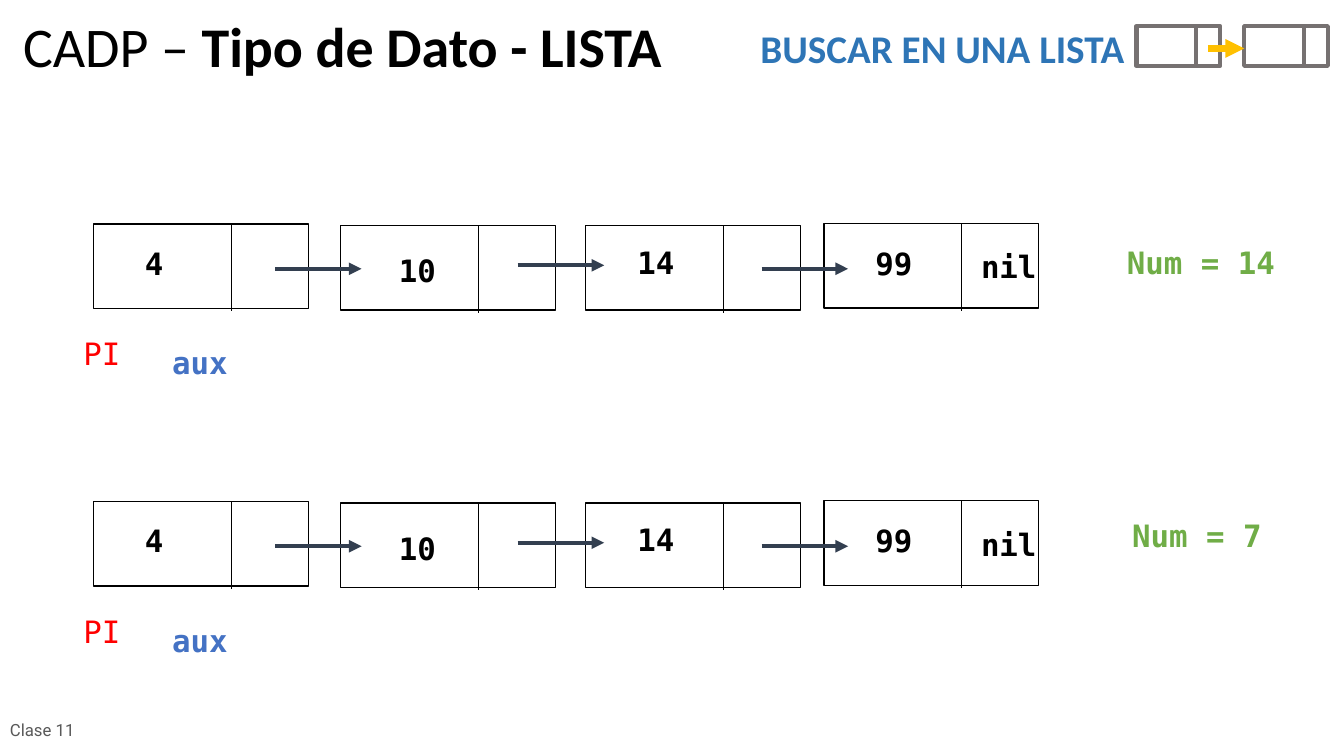
from dataclasses import dataclass

from lxml import etree
from pptx import Presentation
from pptx.dml.color import RGBColor
from pptx.enum import shapes, text
from pptx.oxml import ns
from pptx.util import Pt


@dataclass(frozen=True)
class Theme:
    """Colours, fonts and type sizes of the slide."""
    ink: str = "000000"
    heading: str = "2E75B6"
    icon: str = "767171"
    icon_arrow: str = "FFC000"
    arrow: str = "333F50"
    first: str = "FF0000"
    aux: str = "4472C4"
    target: str = "70AD47"
    footer: str = "595959"
    sans: str = "Calibri"
    mono: str = "DejaVu Sans Mono"
    footer_font: str = "Roboto"
    title_size: int = 40
    heading_size: int = 28
    code_size: int = 22
    footer_size: int = 12


THEME = Theme()
NODE_WIDTH, NODE_HEIGHT = 153.4, 60.5
NODES = [
    ("4", 0, 0, 29.5, 11),
    ("10", 176.5, 1, 34.5, 15.5),
    ("14", 351.5, 1, 30, 9.5),
    ("99", 522, -0.5, 29.5, 11.5),
]
LINKS = [(129.6, 32), (303, 29.5), (477.3, 32)]


def add_text(canvas, box, words, size, color, font=THEME.mono, bold=False, wrap=True):
    """Add a text box and return its paragraph."""
    label = canvas.add_textbox(*map(Pt, box))
    label.text_frame.word_wrap = wrap
    para = label.text_frame.paragraphs[0]
    para.text = words
    para.font.size = Pt(size)
    para.font.name = font
    para.font.bold = bold
    para.font.color.rgb = RGBColor.from_string(color)
    return para


def add_code(canvas, left, top, width, words, color=THEME.ink, bold=True, wrap=True):
    """Add a one-line label in the code font."""
    box = (left, top, width, 34)
    return add_text(canvas, box, words, THEME.code_size, color, bold=bold, wrap=wrap)


def add_line(canvas, left, top, width, height, color, weight, arrow=False):
    """Add a straight line, with an arrowhead if asked."""
    line = canvas.add_connector(
        shapes.MSO_CONNECTOR.STRAIGHT,
        Pt(left), Pt(top), Pt(left + width), Pt(top + height))
    line.line.color.rgb = RGBColor.from_string(color)
    line.line.width = Pt(weight)
    if arrow:
        etree.SubElement(line.line._get_or_add_ln(), ns.qn("a:tailEnd"), type="triangle")
    etree.SubElement(line._element.spPr, ns.qn("a:effectLst"))


def add_cell(canvas, box, split, drop, color, weight, split_weight):
    """Add a list node: a rectangle with a divider before its pointer field."""
    left, top, width, height = box
    cell = canvas.add_shape(shapes.MSO_SHAPE.RECTANGLE, *map(Pt, box))
    cell.shadow.inherit = False
    cell.fill.background()
    cell.line.color.rgb = RGBColor.from_string(color)
    cell.line.width = Pt(weight)
    add_line(canvas, left + split, top, 0, height + drop, color, split_weight)


def add_header(page, left, top):
    """Place the title and the section heading."""
    title = add_text(page.shapes, (left + 9.4, top + 10, 668, 55), "CADP – ",
                     THEME.title_size, THEME.ink, THEME.sans)
    title.line_spacing = 0.9
    span = title.add_run()
    span.text = "Tipo de Dato - LISTA"
    span.font.bold = True
    heading = add_text(page.shapes, (left + 536.4, top + 13.7, 351.4, 41),
                       "BUSCAR EN UNA LISTA", THEME.heading_size,
                       THEME.heading, THEME.sans, bold=True)
    heading.alignment = text.PP_ALIGN.JUSTIFY


def add_icon(page, left, top):
    """Place the small two-node list icon."""
    icon = page.shapes.add_group_shape().shapes
    for offset in (0, 77):
        add_cell(icon, (left + offset, top, 59.8, 28.4), 42.5, 0, THEME.icon, 3, 3)
    add_line(icon, left + 51, top + 15.9, 26, 0, THEME.icon_arrow, 4.5, arrow=True)


def add_list(page, left, top):
    """Place one linked list with its pointers."""
    for value, dx, dy, text_dx, text_dy in NODES:
        node = page.shapes.add_group_shape().shapes
        x, y = left + dx, top + dy
        add_cell(node, (x, y, NODE_WIDTH, NODE_HEIGHT), 98.4, 2, THEME.ink, 1, 0.5)
        add_code(node, x + text_dx, y + text_dy, 14.2 + 13.2 * len(value), value, wrap=False)
    add_code(page.shapes, left + 627, top + 13.7, 54, "nil", wrap=False)
    for dx, dy in LINKS:
        add_line(page.shapes, left + dx, top + dy, 61.8, 0, THEME.arrow, 3, arrow=True)
    add_code(page.shapes, left - 14.4, top + 75.8, 67.7, "PI", THEME.first, bold=False)
    add_code(page.shapes, left + 49, top + 82, 67.7, "aux", THEME.aux)


def add_target(page, left, top, number):
    """Place the number being searched for."""
    para = add_code(page.shapes, left, top, 125.3, f"Num = {number}", THEME.target)
    para.alignment = text.PP_ALIGN.CENTER


def add_footer(page, left, top):
    """Place the class number."""
    add_text(page.shapes, (left, top, 77, 31), "Clase 11", THEME.footer_size,
             THEME.footer, THEME.footer_font)
    page.shapes[-1].text_frame.vertical_anchor = text.MSO_ANCHOR.MIDDLE


def main():
    """Build the slide and save the deck."""
    deck = Presentation()
    deck.slide_width, deck.slide_height = Pt(960.48), Pt(540)
    page = deck.slides.add_slide(deck.slide_layouts[6])
    add_header(page, 0, 0)
    add_icon(page, 812.2, 18.7)
    for top in (160, 358.2):
        add_list(page, 67, top)
    add_target(page, 795.6, 170.6, 14)
    add_target(page, 792.7, 365.4, 7)
    add_footer(page, 0, 505.5)
    deck.save("out.pptx")


if __name__ == "__main__":
    main()
